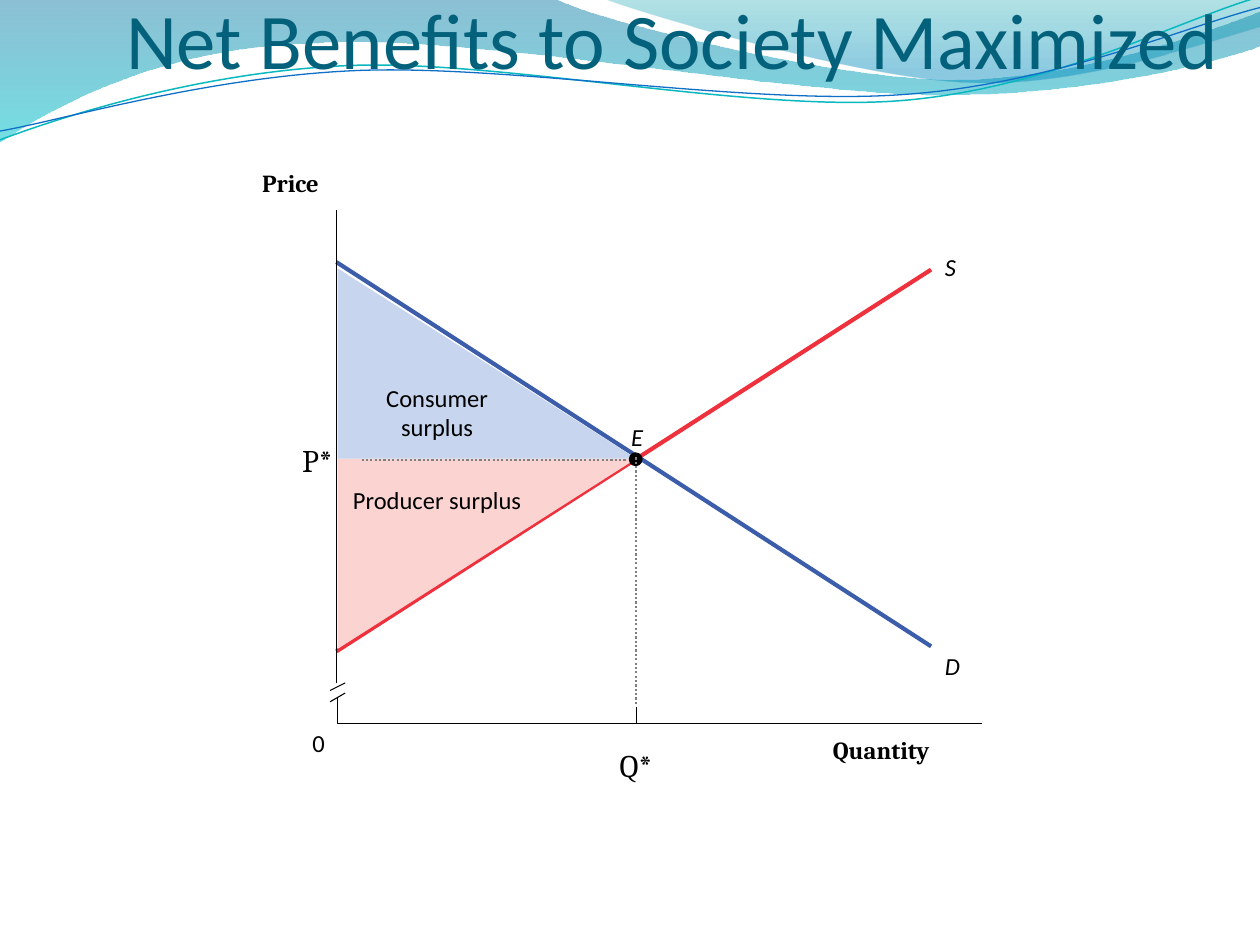
import math
import pptx
import pptx.util
import pptx.dml.color
import pptx.enum.dml
import pptx.enum.shapes
import pptx.enum.text
import lxml.etree

Inches, Pt = pptx.util.Inches, pptx.util.Pt
RGB = pptx.dml.color.RGBColor.from_string
ANCHOR = pptx.enum.text.MSO_ANCHOR
ALIGN = pptx.enum.text.PP_ALIGN
GROW = pptx.enum.text.MSO_AUTO_SIZE
A = "{http://schemas.openxmlformats.org/drawingml/2006/main}"

theme = {
    "body": "Calibri", "serif": "Cambria",
    "title_size": 45, "star_size": 18, "label_size": 14,
    "title": "04617B", "ink": "000000", "guide": "808080",
    "supply": "EE313C", "demand": "3C5DAA",
    "producer": "FBD4D2", "consumer": "C7D6EE",
    "wave_teal": "0AB8BF", "wave_blue": "0F6FC6",
    "band_back": [(0, "0074A1", 45), (1, "00C6CF", 55)],
    "band_front": [(0, "00A1A9", 30), (0.8, "008BBF", 45)],
}

prs = pptx.Presentation()
prs.slide_width, prs.slide_height = Inches(10), Inches(7.5)
s = prs.slides.add_slide(prs.slide_layouts[6])


def outline(start, segments, close=False, tilt=0, center=(0, 0)):
    cos, sin = math.cos(math.radians(tilt)), math.sin(math.radians(tilt))
    points = []
    for part in [start] + segments:
        for x, y in zip(part[::2], part[1::2]):
            dx, dy = x - center[0], y - center[1]
            points.append((Inches(center[0] + dx * cos - dy * sin),
                           Inches(center[1] + dx * sin + dy * cos)))
    fb = s.shapes.build_freeform(*points[0])
    fb.add_line_segments(points[1:], close=close)
    sp = fb.convert_to_shape()
    steps = iter(list(sp._element.spPr.iter(A + "lnTo")))
    for segment in segments:
        step = next(steps)
        if len(segment) == 6:
            step.addprevious(curve := lxml.etree.Element(A + "cubicBezTo"))
            for node in (step, next(steps), next(steps)):
                curve.append(node[0])
                node.getparent().remove(node)
    sp.rotation = -tilt
    sp.shadow.inherit = False
    sp.fill.background()
    sp.line.fill.background()
    return sp


def label(text, box, font=theme["body"], size=theme["label_size"], color=theme["ink"],
          bold=None, italic=None, wrap=False, align=None,
          anchor=ANCHOR.TOP, grow=True, insets=(0, 0, 0, 0)):
    tf = s.shapes.add_textbox(*map(Inches, box)).text_frame
    tf.margin_left, tf.margin_top, tf.margin_right, tf.margin_bottom = map(Inches, insets)
    tf.word_wrap = wrap
    tf.auto_size = GROW.SHAPE_TO_FIT_TEXT if grow else GROW.NONE
    tf.vertical_anchor = anchor
    p = tf.paragraphs[0]
    p.text = text
    p.alignment = align
    p.font.name, p.font.size = font, Pt(size)
    p.font.bold, p.font.italic = bold, italic
    p.font.color.rgb = RGB(color)


bands = [
    ((0, 0), [(4.4, -0.01), (4.76, 0.17, 6.64, 0.63, 7.58, 0.63),
              (8.53, 0.63, 9.58, 0.26, 10, 0.09), (10.01, 0.36),
              (9.83, 0.44, 8.7, 0.76, 7.46, 0.75),
              (6.22, 0.75, 3.82, 0.28, 2.57, 0.34),
              (1.29, 0.36, 0.46, 0.83, -0.01, 1.13)], theme["band_back"]),
    ((4.79, -0.01), [(5.09, 0.11, 6.82, 0.62, 7.69, 0.65),
                     (8.56, 0.69, 9.61, 0.32, 10, 0.21), (10, 0)], theme["band_front"]),
]
for start, segments, stops in bands:
    sp = outline(start, segments, close=True)
    sp.fill.gradient()
    sp.fill.gradient_angle = 270
    for stop, (position, color, _) in zip(sp.fill.gradient_stops, stops):
        stop.position = position
        stop.color.rgb = RGB(color)
    for clr, (_, _, opacity) in zip(sp._element.spPr.iter(A + "srgbClr"), stops):
        lxml.etree.SubElement(clr, A + "alpha", val=str(opacity * 1000))

waves = [
    ((0, 1.11), [(0.48, 0.93, 1.58, 0.57, 2.77, 0.52), (3.95, 0.47, 5.93, 0.89, 7.13, 0.8),
                 (8.33, 0.71, 9.38, 0.15, 9.98, -0.02)], "wave_teal", 0.85),
    ((0, 1.04), [(0.47, 0.96, 1.64, 0.61, 2.83, 0.56), (4.03, 0.51, 5.97, 0.84, 7.17, 0.75),
                 (8.36, 0.67, 9.41, 0.21, 10, 0.06)], "wave_blue", 0.75),
]
for start, segments, color, width in waves:
    sp = outline(start, segments, tilt=2.7, center=(4.99, 0.58))
    sp.line.color.rgb = RGB(theme[color])
    sp.line.width = Pt(width)

for text, x, y in [("S", 7.5, 2), ("D", 7.5, 5.17), ("E", 5.01, 3.35)]:
    label(text, (x, y, 0.13, 0.24), italic=True)
for text, box in [("Price", (2.08, 1.33, 2.25, 0.24)), ("Quantity", (6.61, 5.83, 1.89, 0.24))]:
    label(text, box, font=theme["serif"], bold=True, wrap=True)
label("0", (2.48, 5.78, 0.11, 0.19))

axis_x, eq_x, eq_y = 2.68, 5.05, 3.64
diagram = [
    ("line", [(7.39, 2.14), (2.67, 5.17)], "supply", 2.38),
    ("line", [(2.67, 2.08), (7.39, 5.13)], "demand", 2.38),
    ("line", [(axis_x, 3.65), (2.82, 3.65)], "ink", 0.63),
    ("line", [(eq_x, 5.74), (eq_x, 5.61)], "ink", 0.63),
    ("line", [(2.67, 5.42), (2.67, 1.67)], "ink", 0.63),
    ("corner", [(7.79, 5.74), (axis_x, 5.74), (axis_x, 5.53)], "ink", 0.63),
    ("line", [(2.62, 5.48), (2.74, 5.42)], "ink", 0.63),
    ("line", [(2.62, 5.57), (2.74, 5.5)], "ink", 0.63),
    ("area", [(axis_x, 5.15), (axis_x, eq_y), (eq_x, eq_y)], "producer", 0),
    ("area", [(axis_x, 2.13), (axis_x, eq_y), (eq_x, eq_y)], "consumer", 0),
    ("dot", [(4.99, 3.59), (0.11, 0.11)], "ink", 0),
    ("line", [(eq_x, 3.63), (eq_x, 5.59)], "guide", 1.25),
    ("line", [(2.87, 3.65), (4.98, 3.65)], "guide", 1.25),
]
for kind, points, role, width in diagram:
    ends = [Inches(v) for point in points for v in point]
    if kind == "line":
        sp = s.shapes.add_connector(pptx.enum.shapes.MSO_CONNECTOR.STRAIGHT, *ends)
        lxml.etree.SubElement(sp._element.spPr, A + "effectLst")
    elif kind == "dot":
        sp = s.shapes.add_shape(pptx.enum.shapes.MSO_SHAPE.OVAL, *ends)
        sp.shadow.inherit = False
        sp.line.fill.background()
    else:
        sp = outline(points[0], points[1:], close=kind == "area")
    if width:
        sp.line.color.rgb = RGB(theme[role])
        sp.line.width = Pt(width)
    else:
        sp.fill.solid()
        sp.fill.fore_color.rgb = RGB(theme[role])
    if role == "guide":
        sp.line.dash_style = pptx.enum.dml.MSO_LINE.ROUND_DOT

for text, y in [("Producer surplus", 3.85), ("Consumer surplus", 3.04)]:
    label(text, (2.77, y, 1.4, 0.37), wrap=True, align=ALIGN.CENTER)
label("Net Benefits to Society Maximized", (1, 0.07, 8.72, 0.61), size=theme["title_size"],
      color=theme["title"], wrap=True, anchor=ANCHOR.BOTTOM, grow=False,
      insets=(0, 0.05, 0, 0))
for text, box in [("P*", (2.3, 3.45, 0.46, 0.4)), ("Q*", (4.82, 5.87, 0.51, 0.4))]:
    label(text, box, font=theme["serif"], size=theme["star_size"],
          insets=(0.1, 0.05, 0.1, 0.05))

prs.save("out.pptx")
